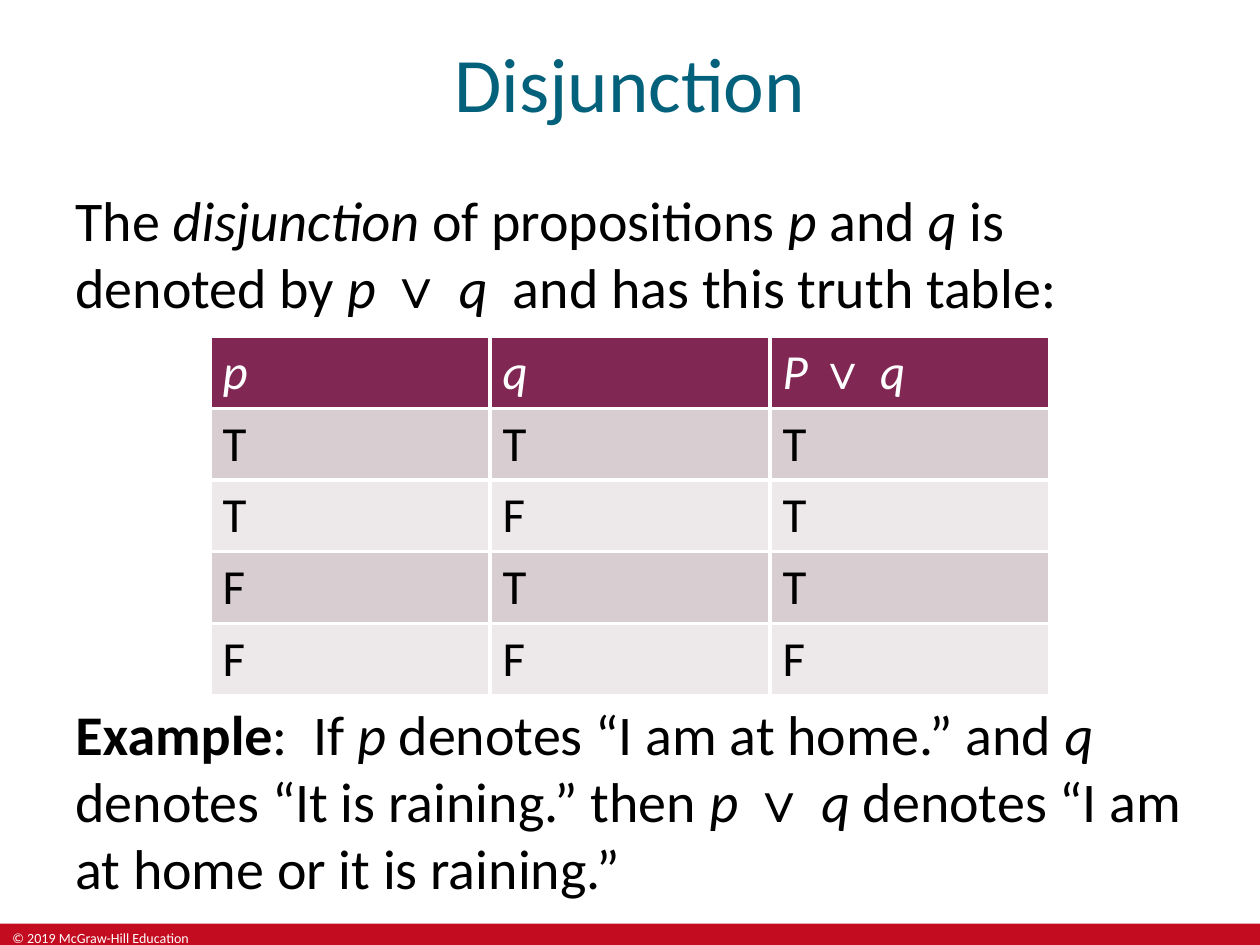
import pptx
import pptx.util
import pptx.dml.color
import pptx.enum.shapes
import pptx.enum.text
import pptx.oxml
import pptx.oxml.ns

COLORS = {
    "title": "04617B", "text": "000000", "light": "FFFFFF", "footer": "C30C20",
    "header": "802754", "odd": "D8CDD1", "even": "EDE8E9",
}
STYLES = {
    "plain": {"name": "Calibri", "bold": False, "italic": False},
    "variable": {"name": "Calibri", "bold": False, "italic": True},
    "strong": {"name": "Calibri", "bold": True, "italic": False},
    "operator": {"name": "Times New Roman", "bold": False, "italic": False},
    "strong operator": {"name": "Times New Roman", "bold": True, "italic": False},
}
WIDTH, HEIGHT = 10, 7.5
FOOTER_TOP, FOOTER_HEIGHT = 7.33, 0.17

title = [("Disjunction", "plain")]
copyright_line = [("© 2019 McGraw-Hill Education", "plain")]
definition = [
    ("The ", "plain"), ("disjunction", "variable"), (" of propositions ", "plain"),
    ("p", "variable"), (" and ", "plain"), ("q", "variable"),
    (" is denoted by ", "plain"), ("p ", "variable"), ("∨ ", "operator"),
    ("q  ", "variable"), ("and has this truth table:", "plain"),
]
example = [
    ("Example", "strong"), (":  If ", "plain"), ("p", "variable"),
    (" denotes “I am at home.” and ", "plain"), ("q", "variable"),
    (" denotes “It is raining.” then ", "plain"), ("p ", "variable"),
    ("∨ ", "operator"), ("q", "variable"),
    (" denotes “I am at home or it is raining.”", "plain"),
]
table_header = [
    [("p", "variable")],
    [("q", "variable")],
    [("P ", "variable"), ("∨ ", "strong operator"), ("q", "variable")],
]
truth_values = ["TTT", "TFT", "FTT", "FFF"]
passages = [
    (title, (0, 0, WIDTH, 1.3), 44, "title", "MIDDLE", "CENTER", 0, 0),
    (definition, (0.5, 1.42, 9, 1.17), 32, "text", "TOP", "LEFT", 0, 6),
    (example, (0.5, 5.5, 9.1, 1.75), 32, "text", "TOP", "LEFT", 0, 6),
    (copyright_line, (0, FOOTER_TOP, 1.7, FOOTER_HEIGHT), 8, "light", "TOP", "LEFT", 0, 0),
]


def rgb(role):
    return pptx.dml.color.RGBColor.from_string(COLORS[role])


def inches(lengths):
    return [pptx.util.Inches(length) for length in lengths]


def write_runs(paragraph, pieces, size, role):
    for words, style in pieces:
        run = paragraph.add_run()
        run.text = words
        for attribute, value in {**STYLES[style], "size": pptx.util.Pt(size)}.items():
            setattr(run.font, attribute, value)
        run.font.color.rgb = rgb(role)


def add_passage(slide, pieces, place, size, role, anchor, align, before, after):
    frame = slide.shapes.add_textbox(*inches(place)).text_frame
    frame.word_wrap = True
    frame.vertical_anchor = pptx.enum.text.MSO_ANCHOR[anchor]
    paragraph = frame.paragraphs[0]
    layout = {
        "alignment": pptx.enum.text.PP_ALIGN[align],
        "space_before": pptx.util.Pt(before),
        "space_after": pptx.util.Pt(after),
    }
    for attribute, value in layout.items():
        setattr(paragraph, attribute, value)
    write_runs(paragraph, pieces, size, role)


def outline_cell(cell):
    properties = cell._tc.get_or_add_tcPr()
    for position, side in enumerate(("lnL", "lnR", "lnT", "lnB")):
        properties.insert(position, pptx.oxml.parse_xml(
            f'<a:{side} {pptx.oxml.ns.nsdecls("a")} w="{pptx.util.Pt(2.25)}">'
            f'<a:solidFill><a:srgbClr val="{COLORS["light"]}"/></a:solidFill></a:{side}>'
        ))


def add_truth_table(slide):
    rows = [table_header] + [[[(value, "plain")] for value in line] for line in truth_values]
    width, row_height = WIDTH * 2 / 3, 0.57
    place = ((WIDTH - width) / 2, 2.67, width, row_height * len(rows))
    table = slide.shapes.add_table(len(rows), len(table_header), *inches(place)).table
    for row_index, row in enumerate(rows):
        fill_role = "header" if row_index == 0 else ("even", "odd")[row_index % 2]
        text_role = "light" if row_index == 0 else "text"
        for column_index, pieces in enumerate(row):
            cell = table.cell(row_index, column_index)
            cell.fill.solid()
            cell.fill.fore_color.rgb = rgb(fill_role)
            outline_cell(cell)
            write_runs(cell.text_frame.paragraphs[0], pieces, 28, text_role)


def main():
    deck = pptx.Presentation()
    deck.slide_width, deck.slide_height = inches((WIDTH, HEIGHT))
    slide = deck.slides.add_slide(deck.slide_layouts[6])
    footer = slide.shapes.add_shape(
        pptx.enum.shapes.MSO_SHAPE.RECTANGLE,
        *inches((0, FOOTER_TOP, WIDTH, FOOTER_HEIGHT)),
    )
    footer.shadow.inherit = False
    footer.fill.solid()
    footer.fill.fore_color.rgb = rgb("footer")
    footer.line.fill.background()
    for passage in passages:
        add_passage(slide, *passage)
    add_truth_table(slide)
    deck.save("out.pptx")


if __name__ == "__main__":
    main()
